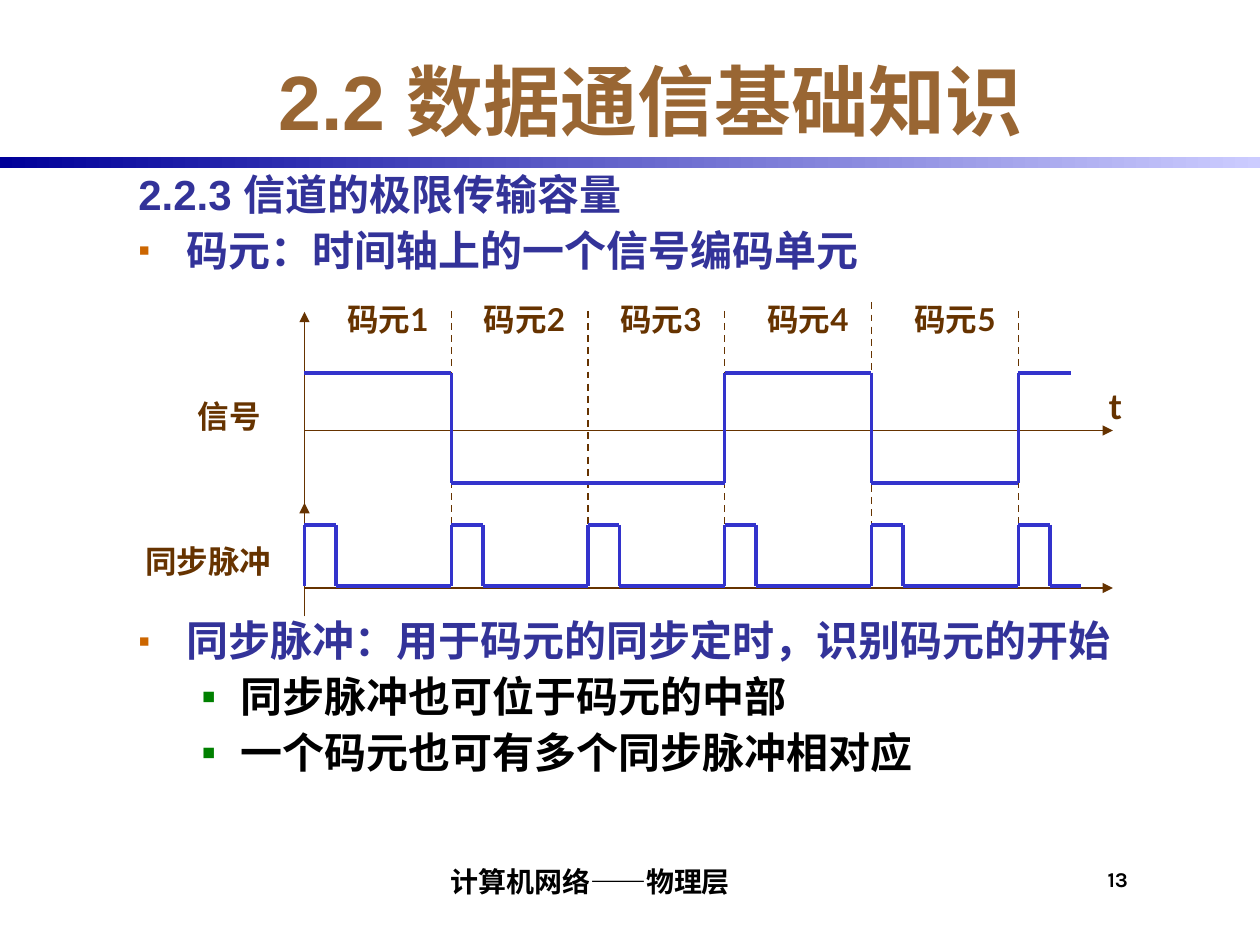
from itertools import pairwise
from lxml import etree
from pptx import Presentation, util as u
from pptx.dml.color import RGBColor
from pptx.enum import dml, shapes, text
from pptx.oxml.ns import qn

BROWN = RGBColor(0x66, 0x33, 0x00)
TITLE_BROWN = RGBColor(0x99, 0x66, 0x33)
NAVY = RGBColor(0x00, 0x00, 0x99)
LILAC = RGBColor(0xCC, 0xCC, 0xFF)
INDIGO = RGBColor(0x33, 0x33, 0x99)
BLUE = RGBColor(0x33, 0x33, 0xCC)
ORANGE = RGBColor(0xCC, 0x66, 0x00)
GREEN = RGBColor(0x00, 0x80, 0x00)
BLACK = RGBColor(0x00, 0x00, 0x00)

presentation = Presentation()
presentation.slide_width = u.Inches(10)
presentation.slide_height = u.Inches(7.5)
slide = presentation.slides.add_slide(presentation.slide_layouts[6])
COLUMN = presentation.slide_width / 120
ROW = presentation.slide_height / 90


def add_text(area, lines, name, size, color, align, anchor=text.MSO_ANCHOR.TOP, margins=(0.1, 0.05, 0.1, 0.05)):
    left, top, width, height = area
    box = slide.shapes.add_textbox(*(int(n) for n in (left * COLUMN, top * ROW, width * COLUMN, height * ROW)))
    frame_format = {"word_wrap": True, "vertical_anchor": anchor}
    for side, margin in zip(("left", "top", "right", "bottom"), margins):
        frame_format[f"margin_{side}"] = u.Inches(margin)
    for key, value in frame_format.items():
        setattr(box.text_frame, key, value)
    for index, line in enumerate(lines):
        paragraph = box.text_frame.paragraphs[0] if index == 0 else box.text_frame.add_paragraph()
        paragraph.alignment = align
        run = paragraph.add_run()
        run.text = line
        for key, value in {"name": name, "size": u.Pt(size), "bold": True}.items():
            setattr(run.font, key, value)
        run.font.color.rgb = color
    return box.text_frame.paragraphs


def add_line(start, end, color, width, dashed=False, arrow=False):
    (x1, y1), (x2, y2) = start, end
    line = slide.shapes.add_connector(
        shapes.MSO_CONNECTOR.STRAIGHT, *(int(n) for n in (x1 * COLUMN, y1 * ROW, x2 * COLUMN, y2 * ROW))
    )
    line.line.color.rgb = color
    line.line.width = u.Pt(width)
    if dashed:
        line.line.dash_style = dml.MSO_LINE.DASH
    if arrow:
        etree.SubElement(line.line._get_or_add_ln(), qn("a:tailEnd"), type="triangle")
    etree.SubElement(line._element.spPr, qn("a:effectLst"))


band = slide.shapes.add_shape(
    shapes.MSO_SHAPE.RECTANGLE, 0, int(15 * ROW), presentation.slide_width, int(ROW)
)
band.shadow.inherit = False
band.line.fill.background()
band.fill.gradient()
band.fill.gradient_angle = 0
for stop, color in zip(band.fill.gradient_stops, (NAVY, LILAC)):
    stop.color.rgb = color

LEFT, CENTER, RIGHT = text.PP_ALIGN.LEFT, text.PP_ALIGN.CENTER, text.PP_ALIGN.RIGHT
add_text((11, 4, 102, 11), ["2.2 数据通信基础知识"], "Arial", 44, TITLE_BROWN, CENTER, text.MSO_ANCHOR.MIDDLE)

heading, symbol_point = add_text(
    (12, 16, 102, 12), ["2.2.3 信道的极限传输容量", "码元：时间轴上的一个信号编码单元"], "Arial", 24, INDIGO, LEFT
)
pulse_point, *details = add_text(
    (12, 58.5, 102, 18),
    ["同步脉冲：用于码元的同步定时，识别码元的开始", "同步脉冲也可位于码元的中部", "一个码元也可有多个同步脉冲相对应"],
    "Arial", 24, INDIGO, LEFT,
)
for paragraph in details:
    paragraph.level = 1
    paragraph.runs[0].font.color.rgb = BLACK

main_format = (0.38, -0.38, ORANGE, 80)
detail_format = (0.81, -0.31, GREEN, 100)
bulleted = [(symbol_point, main_format), (pulse_point, main_format)]
bulleted += [(paragraph, detail_format) for paragraph in details]
for paragraph, (margin, indent, color, percent) in bulleted:
    properties = paragraph._p.get_or_add_pPr()
    properties.set("marL", str(u.Inches(margin)))
    properties.set("indent", str(u.Inches(indent)))
    bullet_color = etree.SubElement(properties, qn("a:buClr"))
    etree.SubElement(bullet_color, qn("a:srgbClr"), val=str(color))
    etree.SubElement(properties, qn("a:buSzPct"), val=str(percent * 1000))
    etree.SubElement(properties, qn("a:buFont"), typeface="Arial")
    etree.SubElement(properties, qn("a:buChar"), char="▪")
for paragraph in (heading, symbol_point, pulse_point, *details):
    paragraph.line_spacing = 0.9
for paragraph in (symbol_point, *details):
    paragraph.space_before = u.Pt(6)

EDGES = [29, 43, 56, 69, 83, 97]
ORIGIN, AXIS_END = EDGES[0], 106
HIGH, LOW = 35.5, 46
PULSE_TOP, PULSE_BASE, PULSE_WIDTH = 50, 55.8, 3

for start, end in [
    ((ORIGIN, 58.7), (ORIGIN, 47.9)),
    ((ORIGIN, 48.8), (ORIGIN, 29.7)),
    ((ORIGIN, 41), (AXIS_END, 41)),
    ((ORIGIN, 56), (AXIS_END, 56)),
]:
    add_line(start, end, BROWN, 1, arrow=True)
for edge in EDGES[1:]:
    add_line((edge, 28.8 if edge == 83 else 29.6), (edge, 51.4), BROWN, 1, dashed=True)

signal = []
levels = [HIGH, LOW, LOW, HIGH, LOW, HIGH]
for (left, right), level in zip(pairwise(EDGES + [102]), levels):
    signal += [(left, level), (right, level)]
pulses = []
for left, right in pairwise(EDGES + [103]):
    fall = left + PULSE_WIDTH
    pulses += [(left, PULSE_BASE), (left, PULSE_TOP), (fall, PULSE_TOP), (fall, PULSE_BASE), (right, PULSE_BASE)]
for trace in (signal, pulses):
    for start, end in pairwise(trace):
        if start != end:
            add_line(start, end, BLUE, 2.25)

for number, left in enumerate([31, 44, 57, 71, 85], 1):
    add_text((left, 28, 11, 4.8), [f"码元{number}"], "Lato", 18, BROWN, RIGHT)
for area, label, size in [
    ((15, 37.2, 11, 4.8), "信号", 18),
    ((10, 51, 17, 4.8), "同步脉冲", 18),
    ((102, 36, 6, 5.3), "t", 20),
]:
    add_text(area, [label], "Lato", size, BROWN, RIGHT)

add_text((25, 81, 62, 5), ["计算机网络——物理层"], "Karla", 16, BLACK, CENTER, text.MSO_ANCHOR.BOTTOM, (0.04, 0, 0, 0.04))
add_text((105, 82, 7, 5), ["13"], "Karla", 12, BLACK, LEFT, margins=(0.04, 0.04, 0, 0))

presentation.save("out.pptx")
